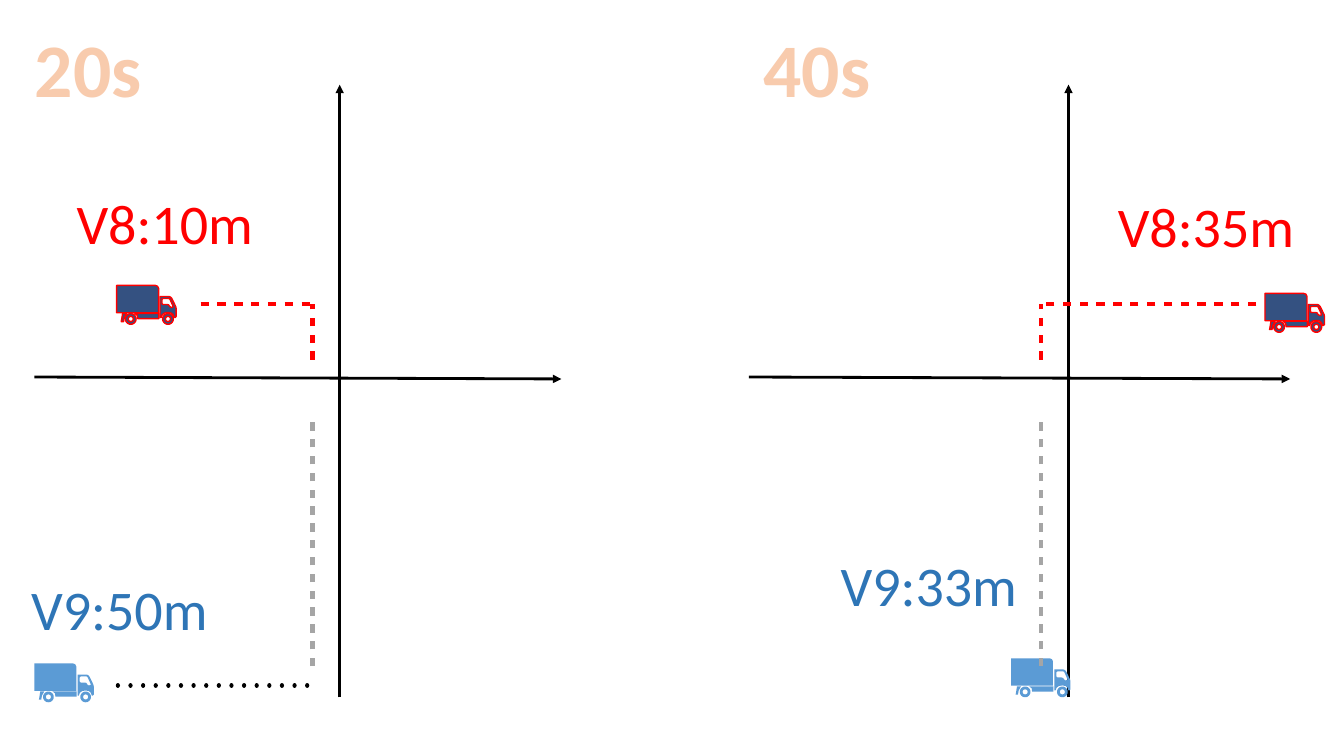
import math

from lxml import etree
from pptx import Presentation
from pptx.dml.color import RGBColor
from pptx.enum import shapes, text
from pptx.oxml import ns
from pptx.util import Pt

BLACK = RGBColor(0x00, 0x00, 0x00)
RED = RGBColor(0xFF, 0x00, 0x00)
GRAY = RGBColor(0xA5, 0xA5, 0xA5)
BLUE = RGBColor(0x2E, 0x75, 0xB6)
SKY = RGBColor(0x5B, 0x9B, 0xD5)
NAVY = RGBColor(0x34, 0x51, 0x81)
PEACH = RGBColor(0xF8, 0xCB, 0xAD)
ORANGE = RGBColor(0xED, 0x7D, 0x31)

CARGO = [(0, 0), (0, 196), (300, 196), (300, 22), (292, 6), (275, 0)]
CAB = [(310, 80), (310, 230), (318, 230), (326, 210), (342, 198), (367, 194),
       (390, 198), (404, 210), (411, 230), (418, 230), (425, 223), (425, 166),
       (422, 151), (394, 94), (385, 84), (374, 80)]
WINDOW = [(331, 94), (374, 94), (381, 99), (403, 148), (403, 155), (389, 158),
          (379, 151), (372, 140), (360, 137), (331, 137), (324, 130), (324, 101)]
FLAP = [(43, 200), (36, 245), (33, 259), (50, 259), (55, 230), (72, 200)]
CHASSIS = [(130, 200), (148, 215), (151, 238), (302, 238), (302, 200)]
AXLES, AXLE_Y, TYRE, HUB = (101, 367), 240, 38, 18

PANEL_STEP = 520.56
AXIS_X, LANE_X, LANE_Y = 242.64, 223.2, 217.44
PANELS = [
    dict(caption="20s", axis_start=24.5,
         v8="V8:10m", v8_label=(28.8, 131), v8_truck=(83.3, 203.8), v8_route=143.3,
         v9="V9:50m", v9_label=(14.4, 406.8), v9_truck=(24.5, 473.8), v9_route=84.2),
    dict(caption="40s", axis_start=14.4,
         v8="V8:35m", v8_label=(252, 133.2), v8_truck=(383, 209.5), v8_route=388.8,
         v9="V9:33m", v9_label=(72, 389.5), v9_truck=(201.6, 470.2), v9_route=None),
]


def add_line(slide, start, end, color, width, dash=None, cap="flat", arrow=False):
    """Draw a straight line, with an optional (dash, gap) pattern or arrowhead."""
    c = slide.shapes.add_connector(shapes.MSO_CONNECTOR.STRAIGHT,
                                   *(Pt(v) for v in (*start, *end)))
    c.line.color.rgb = color
    c.line.width = Pt(width)
    sp_pr = c._element.spPr
    etree.SubElement(sp_pr, ns.qn("a:effectLst"))
    ln = sp_pr.find(ns.qn("a:ln"))
    if dash:
        ln.set("cap", cap)
        pattern = etree.SubElement(ln, ns.qn("a:custDash"))
        etree.SubElement(pattern, ns.qn("a:ds"), d=str(dash[0] * 100000),
                         sp=str(dash[1] * 100000))
    if arrow:
        etree.SubElement(ln, ns.qn("a:tailEnd"), type="triangle")


def circle(x, y, radius, steps=24):
    """Return the points of a circle."""
    angles = [2 * math.pi * i / steps for i in range(steps)]
    return [(x + radius * math.cos(a), y + radius * math.sin(a)) for a in angles]


def add_truck(slide, left, top, fill, outline=None):
    """Draw a truck with its top left corner at the given place."""
    wheels = [circle(x, AXLE_Y, r) for x in AXLES for r in (TYRE, HUB)]
    first, *others = [CARGO, CAB, WINDOW, FLAP, CHASSIS, *wheels]
    builder = slide.shapes.build_freeform(*first[0], scale=Pt(0.1))
    builder.add_line_segments(first[1:], close=True)
    for contour in others:
        builder.move_to(*contour[0])
        builder.add_line_segments(contour[1:], close=True)
    sp = builder.convert_to_shape(Pt(left), Pt(top))
    sp.shadow.inherit = False
    sp.fill.solid()
    sp.fill.fore_color.rgb = fill
    if outline:
        sp.line.color.rgb = outline
        sp.line.width = Pt(1)
    else:
        sp.line.fill.background()


def add_label(slide, box, label, size, color, bold=False, wrap=False):
    """Add a centred label and return its run."""
    tf = slide.shapes.add_textbox(*(Pt(v) for v in box)).text_frame
    tf.word_wrap = wrap
    tf.auto_size = text.MSO_AUTO_SIZE.SHAPE_TO_FIT_TEXT
    p = tf.paragraphs[0]
    p.text = label
    p.alignment = text.PP_ALIGN.CENTER
    r = p.runs[0]
    r.font.name = "Calibri"
    r.font.size = Pt(size)
    r.font.bold = bold
    r.font.color.rgb = color
    return r


def add_caption(slide, left, caption):
    """Add the outlined time caption of a panel."""
    r = add_label(slide, (left + 17.3, 12.2, 91.4, 72.7), caption, 54, PEACH, bold=True)
    ln = etree.Element(ns.qn("a:ln"), w=str(Pt(1.75)))
    fill = etree.SubElement(ln, ns.qn("a:solidFill"))
    etree.SubElement(fill, ns.qn("a:srgbClr"), val=str(ORANGE))
    r.font._element.insert(0, ln)


def add_panel(slide, left, panel):
    """Draw the crossroads with both trucks at one moment."""
    def at(x, y):
        return left + x, y

    add_line(slide, at(panel["axis_start"], 269.3), at(401, 270.7), BLACK, 2, arrow=True)
    add_line(slide, at(AXIS_X, 498.2), at(AXIS_X, 60.5), BLACK, 2, arrow=True)
    add_truck(slide, *at(*panel["v9_truck"]), SKY)
    add_line(slide, at(panel["v8_route"], LANE_Y), at(LANE_X, LANE_Y), RED, 3, (2, 2))
    add_line(slide, at(LANE_X, 475.9), at(LANE_X, 298.1), GRAY, 3, (2, 2))
    if panel["v9_route"]:
        add_line(slide, at(panel["v9_route"], 489.6), at(LANE_X, 489.6),
                 BLACK, 3, (1, 2), cap="rnd")
    add_truck(slide, *at(*panel["v8_truck"]), NAVY, RED)
    add_line(slide, at(LANE_X, 257), at(LANE_X, LANE_Y), RED, 3, (2, 2))
    add_caption(slide, left, panel["caption"])
    add_label(slide, (*at(*panel["v9_label"]), 141.8, 55.4), panel["v9"], 40, BLUE)
    add_label(slide, (*at(*panel["v8_label"]), 177.8, 55.4), panel["v8"], 40, RED, wrap=True)


def main():
    """Build and save the slide."""
    prs = Presentation()
    prs.slide_width, prs.slide_height = Pt(960), Pt(540)
    slide = prs.slides.add_slide(prs.slide_layouts[6])
    for i, panel in enumerate(PANELS):
        add_panel(slide, i * PANEL_STEP, panel)
    prs.save("out.pptx")


if __name__ == "__main__":
    main()
